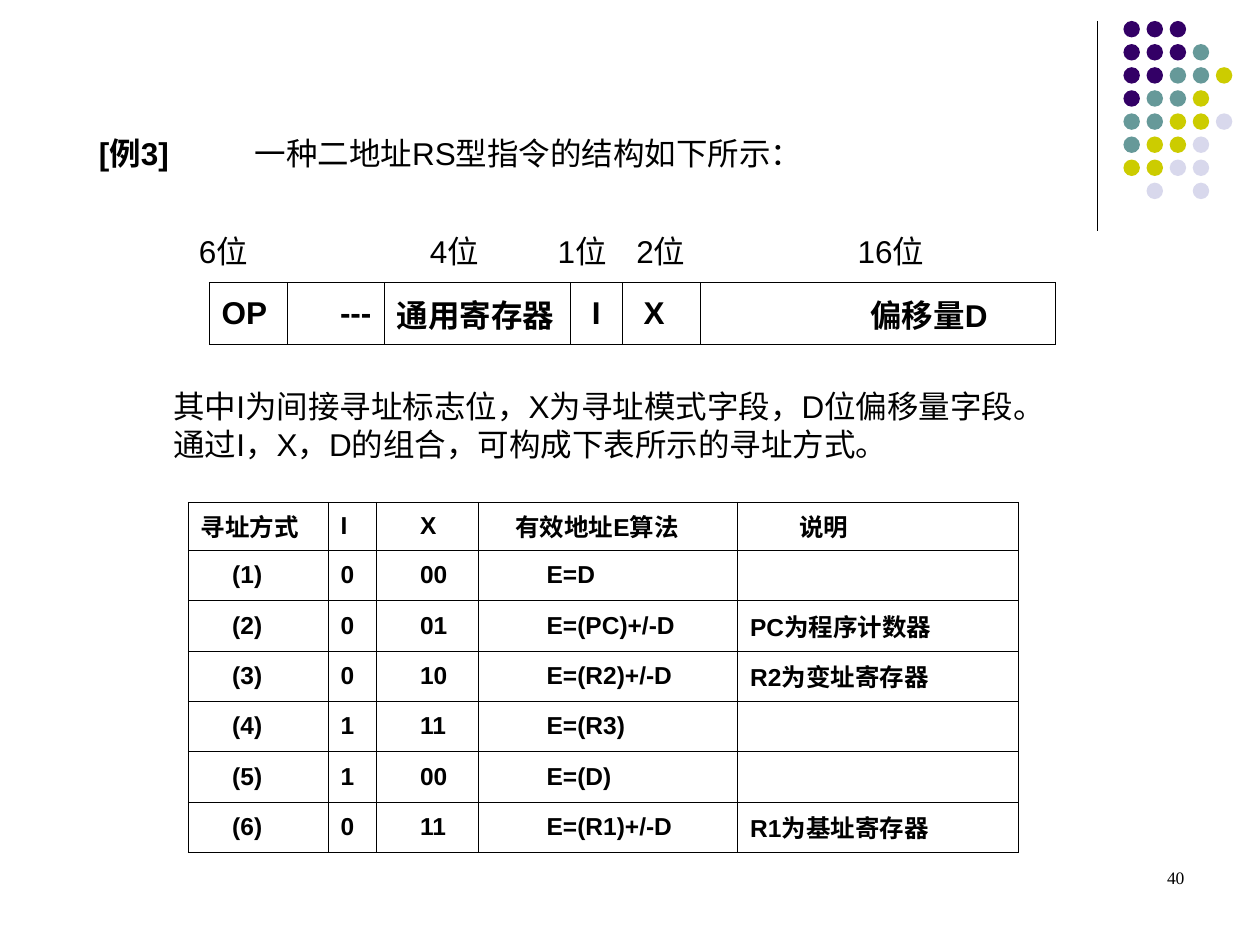
from lxml.etree import SubElement
from pptx import Presentation
from pptx.dml.color import RGBColor
from pptx.enum.shapes import MSO_CONNECTOR, MSO_SHAPE
from pptx.enum.text import MSO_ANCHOR, PP_ALIGN
from pptx.oxml.ns import qn
from pptx.util import Pt

COLORS = {
    "ink": "000000",
    "paper": "FFFFFF",
    "purple": "330066",
    "teal": "669999",
    "olive": "CCCC00",
    "lilac": "D8D8EC",
}
DOT_ROWS = ["PPP", "PPPT", "PPTTO", "PTTO", "TTOOL", "TOOL", "OOLL", " L L"]
DOT_COLORS = {"P": "purple", "T": "teal", "O": "olive", "L": "lilac"}

FORMAT_WIDTHS = [44.6, 55.4, 106.6, 29.5, 44.6, 203]
FORMAT_INDENTS = [0, 23, 0, 5, 5, 90]
FORMAT_FIELDS = [["OP", "---", "通用寄存器", "I", "X", "偏移量D"]]

MODE_WIDTHS = [80, 27.4, 58.3, 148.3, 160.6]
MODE_HEAD_INDENTS = [0, 0, 18, 14, 28]
MODE_BODY_INDENTS = [18, 0, 18, 32, 0]
MODES = [
    ["寻址方式", "I", "X", "有效地址E算法", "说明"],
    ["(1)", "0", "00", "E=D", ""],
    ["(2)", "0", "01", "E=(PC)+/-D", "PC为程序计数器"],
    ["(3)", "0", "10", "E=(R2)+/-D", "R2为变址寄存器"],
    ["(4)", "1", "11", "E=(R3)", ""],
    ["(5)", "1", "00", "E=(D)", ""],
    ["(6)", "0", "11", "E=(R1)+/-D", "R1为基址寄存器"],
]


def rgb(name):
    return RGBColor.from_string(COLORS[name])


def set_font(font, size, bold=False, face="Arial"):
    font.name = face
    font.size = Pt(size)
    font.bold = bold
    font.color.rgb = rgb("ink")


def add_tab_stops(paragraph, stops):
    tab_list = SubElement(paragraph._p.get_or_add_pPr(), qn("a:tabLst"))
    for stop in stops:
        SubElement(tab_list, qn("a:tab"), pos=str(Pt(stop)), algn="l")


def add_text(slide, box, lines, size=18, stops=(), face="Arial",
             anchor=MSO_ANCHOR.MIDDLE):
    """Add a text box and return its paragraphs."""
    frame = slide.shapes.add_textbox(*map(Pt, box)).text_frame
    frame.word_wrap = True
    frame.margin_right = 0
    frame.vertical_anchor = anchor
    frame.text = "\n".join(lines)
    for paragraph in frame.paragraphs:
        if stops:
            add_tab_stops(paragraph, stops)
        set_font(paragraph.font, size, face=face)
    return frame.paragraphs


def add_cell_borders(cell):
    properties = cell._tc.get_or_add_tcPr()
    for position, side in enumerate(("a:lnL", "a:lnR", "a:lnT", "a:lnB")):
        border = properties.makeelement(qn(side), {"w": str(Pt(0.34))})
        fill = SubElement(border, qn("a:solidFill"))
        SubElement(fill, qn("a:srgbClr"), val=COLORS["ink"])
        properties.insert(position, border)


def add_grid(slide, left, top, widths, heights, rows, indents, size):
    """Add a ruled table; indents holds one list of cell indents per row."""
    table = slide.shapes.add_table(
        len(rows), len(widths), Pt(left), Pt(top), Pt(sum(widths)), Pt(sum(heights))
    ).table
    table.first_row = table.horz_banding = False
    for column, width in zip(table.columns, widths):
        column.width = Pt(width)
    for row, height in zip(table.rows, heights):
        row.height = Pt(height)
    for row, texts, row_indents in zip(table.rows, rows, indents):
        for cell, text, indent in zip(row.cells, texts, row_indents):
            cell.text = text
            cell.vertical_anchor = MSO_ANCHOR.MIDDLE
            cell.fill.solid()
            cell.fill.fore_color.rgb = rgb("paper")
            add_cell_borders(cell)
            paragraph = cell.text_frame.paragraphs[0]
            paragraph._p.get_or_add_pPr().set("marL", str(Pt(indent)))
            set_font(paragraph.font, size, bold=True)


def add_corner_dots(slide, left=642, top=12, pitch=13.2, diameter=9.4):
    dots = slide.shapes.add_group_shape().shapes
    for row, codes in enumerate(DOT_ROWS):
        for column, code in enumerate(codes):
            if code == " ":
                continue
            dot = dots.add_shape(
                MSO_SHAPE.OVAL, Pt(left + column * pitch), Pt(top + row * pitch),
                Pt(diameter), Pt(diameter))
            dot.shadow.inherit = False
            dot.fill.solid()
            dot.fill.fore_color.rgb = rgb(DOT_COLORS[code])
            dot.line.fill.background()


def add_corner_rule(slide):
    rule = slide.shapes.add_connector(
        MSO_CONNECTOR.STRAIGHT, Pt(627), Pt(12), Pt(627), Pt(132))
    rule.line.color.rgb = rgb("ink")
    rule.line.width = Pt(0.75)
    SubElement(rule._element.spPr, qn("a:effectLst"))


def add_heading(slide):
    heading = add_text(slide, (49.5, 72.7, 429, 29), [""], stops=[89])[0]
    label = heading.add_run()
    label.text = "[例3]"
    label.font.bold = True
    heading.add_run().text = "\t一种二地址RS型指令的结构如下所示："


def main():
    deck = Presentation()
    deck.slide_width, deck.slide_height = Pt(720), Pt(540)
    slide = deck.slides.add_slide(deck.slide_layouts[6])

    add_corner_rule(slide)
    add_corner_dots(slide)
    add_heading(slide)
    add_text(slide, (106.5, 129, 433.5, 29), ["6位\t4位\t1位\t2位\t16位"],
             stops=[132, 205, 250, 376.5])
    add_grid(slide, 119.5, 161.3, FORMAT_WIDTHS, [35.5], FORMAT_FIELDS,
             [FORMAT_INDENTS], 18)
    add_text(slide, (92, 217.5, 538, 50.5), [
        "其中I为间接寻址标志位，X为寻址模式字段，D位偏移量字段。",
        "通过I，X，D的组合，可构成下表所示的寻址方式。",
    ])
    body_rows = len(MODES) - 1
    add_grid(slide, 107.5, 286.9, MODE_WIDTHS, [27.4] + [28.8] * body_rows, MODES,
             [MODE_HEAD_INDENTS] + [MODE_BODY_INDENTS] * body_rows, 14)
    page_number = add_text(slide, (516, 492, 160.8, 36), ["40"], size=10,
                           face="Times New Roman", anchor=MSO_ANCHOR.TOP)[0]
    page_number.alignment = PP_ALIGN.RIGHT

    deck.save("out.pptx")


if __name__ == "__main__":
    main()
